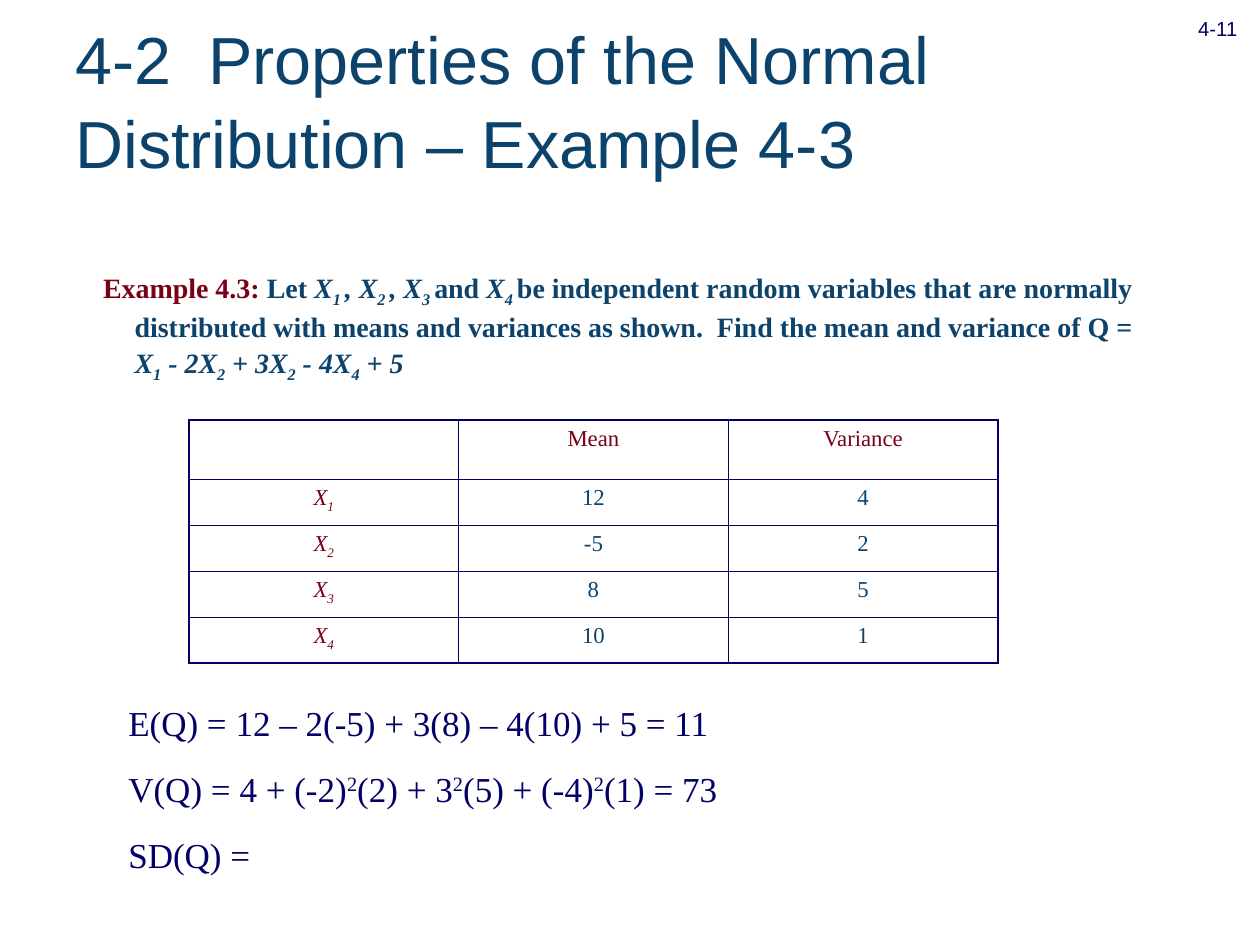
from lxml.etree import SubElement
from pptx import Presentation
from pptx.dml.color import RGBColor
from pptx.enum.text import MSO_ANCHOR, PP_ALIGN
from pptx.oxml import parse_xml
from pptx.oxml.ns import nsdecls
from pptx.util import Pt

TEAL = RGBColor(0x0C, 0x43, 0x6C)
MAROON = RGBColor(0x79, 0x00, 0x15)
NAVY = RGBColor(0x00, 0x00, 0x66)
SERIF, SANS = "Times New Roman", "Arial"
SUB, SUPER = -25, 30
LINE_SPACING = 1.05

# Content: a line is a list of (text, italic, baseline) spans
TITLE = [[("4-2  Properties of the Normal  Distribution – Example 4-3", False, 0)]]
PAGE_NUMBER = [[("4-11", False, SUB)]]
EXAMPLE_LABEL = "Example 4.3: "
EXAMPLE = [[
    (EXAMPLE_LABEL, False, 0), ("Let ", False, 0),
    ("X", True, 0), ("1 ", True, SUB), (", X", True, 0), ("2 ", True, SUB),
    (", X", True, 0), ("3 ", True, SUB), ("and", False, 0),
    (" X", True, 0), ("4 ", True, SUB),
    ("be independent random variables that are normally distributed with means "
     "and variances as shown.  Find the mean and variance of Q = ", False, 0),
    ("X", True, 0), ("1", True, SUB), (" - 2X", True, 0), ("2", True, SUB),
    (" + 3X", True, 0), ("2", True, SUB), (" - 4X", True, 0), ("4", True, SUB),
    (" + 5", True, 0),
]]
ANSWERS = [
    [("E(Q) = 12 – 2(-5) + 3(8) – 4(10) + 5 = 11", False, 0)],
    [("V(Q) = 4 + (-2)", False, 0), ("2", False, SUPER), ("(2) + 3", False, 0),
     ("2", False, SUPER), ("(5) + (-4)", False, 0), ("2", False, SUPER),
     ("(1) = 73", False, 0)],
    [("SD(Q) =", False, 0)],
]
HEADINGS = ["", "Mean", "Variance"]
VARIABLES = [("12", "4"), ("-5", "2"), ("8", "5"), ("10", "1")]

# Table geometry
COLUMN_WIDTH, HEADER_HEIGHT, ROW_HEIGHT = 154.08, 33.7, 26.35
OUTER_LINE, INNER_LINE = 1.08, 0.45


def write_spans(para, spans, font_name, size, color, bold=False):
    for text, italic, baseline in spans:
        span = para.add_run()
        span.text = text
        if italic:
            span.font.italic = True
        if baseline:
            span.font._element.set("baseline", str(baseline * 1000))
    for font in [para.font] + [span.font for span in para.runs]:
        font.name, font.size, font.bold = font_name, Pt(size), bold
        font.color.rgb = color


def add_text(page, area, lines, font_name, size, color, bold=False,
             align=PP_ALIGN.LEFT, anchor=MSO_ANCHOR.TOP, gap=0):
    box = page.shapes.add_textbox(*[Pt(length) for length in area])
    frame = box.text_frame
    frame.word_wrap = True
    frame.vertical_anchor = anchor
    for index, spans in enumerate(lines):
        para = frame.add_paragraph() if index else frame.paragraphs[0]
        para.alignment = align
        para.line_spacing = LINE_SPACING
        if index:
            para.space_before = Pt(gap)
        write_spans(para, spans, font_name, size, color, bold)
    return frame


def set_borders(cell, widths):
    properties = cell._tc.get_or_add_tcPr()
    for index, (side, width) in enumerate(widths.items()):
        line = parse_xml(f'<a:ln{side} {nsdecls("a")} w="{Pt(width)}"/>')
        fill = SubElement(line, line.tag.replace("ln" + side, "solidFill"))
        SubElement(fill, line.tag.replace("ln" + side, "srgbClr"), val=str(NAVY))
        properties.insert(index, line)


def add_statistics_table(page):
    rows = [[[(heading, False, 0)] for heading in HEADINGS]]
    for number, values in enumerate(VARIABLES, 1):
        rows.append([[("X", True, 0), (str(number), True, SUB)]]
                    + [[(value, False, 0)] for value in values])
    row_count, column_count = len(rows), len(HEADINGS)
    height = HEADER_HEIGHT + ROW_HEIGHT * len(VARIABLES)
    table = page.shapes.add_table(row_count, column_count, Pt(108), Pt(240),
                                  Pt(COLUMN_WIDTH * column_count), Pt(height)).table
    table.first_row = table.horz_banding = False
    for column in table.columns:
        column.width = Pt(COLUMN_WIDTH)
    for r, row in enumerate(rows):
        table.rows[r].height = Pt(ROW_HEIGHT if r else HEADER_HEIGHT)
        for c, spans in enumerate(row):
            cell = table.cell(r, c)
            cell.fill.background()
            outer = {"L": c == 0, "R": c == column_count - 1,
                     "T": r == 0, "B": r == row_count - 1}
            set_borders(cell, {side: OUTER_LINE if edge else INNER_LINE
                               for side, edge in outer.items()})
            if spans[0][0]:
                para = cell.text_frame.paragraphs[0]
                para.alignment = PP_ALIGN.CENTER
                write_spans(para, spans, SERIF, 13, TEAL if r and c else MAROON)


def main():
    deck = Presentation()
    deck.slide_width, deck.slide_height = Pt(720), Pt(540)
    page = deck.slides.add_slide(deck.slide_layouts[6])

    # Example statement with a hanging indent and a coloured label
    frame = add_text(page, (51.84, 149.76, 612, 84), EXAMPLE, SERIF, 16, TEAL, bold=True)
    para = frame.paragraphs[0]
    properties = para._p.get_or_add_pPr()
    properties.set("marL", str(Pt(18)))
    properties.set("indent", str(Pt(-18)))
    para.runs[0].font.color.rgb = MAROON

    # Title, table, answers and page number
    add_text(page, (36, 10.8, 667.44, 90), TITLE, SANS, 38, TEAL,
             anchor=MSO_ANCHOR.MIDDLE)
    add_statistics_table(page)
    add_text(page, (66.24, 396, 552.24, 104.4), ANSWERS, SERIF, 20, NAVY, gap=12.5)
    add_text(page, (668.88, -9.36, 54, 34.56), PAGE_NUMBER, SANS, 20, NAVY,
             align=PP_ALIGN.CENTER)

    deck.save("out.pptx")


if __name__ == "__main__":
    main()
